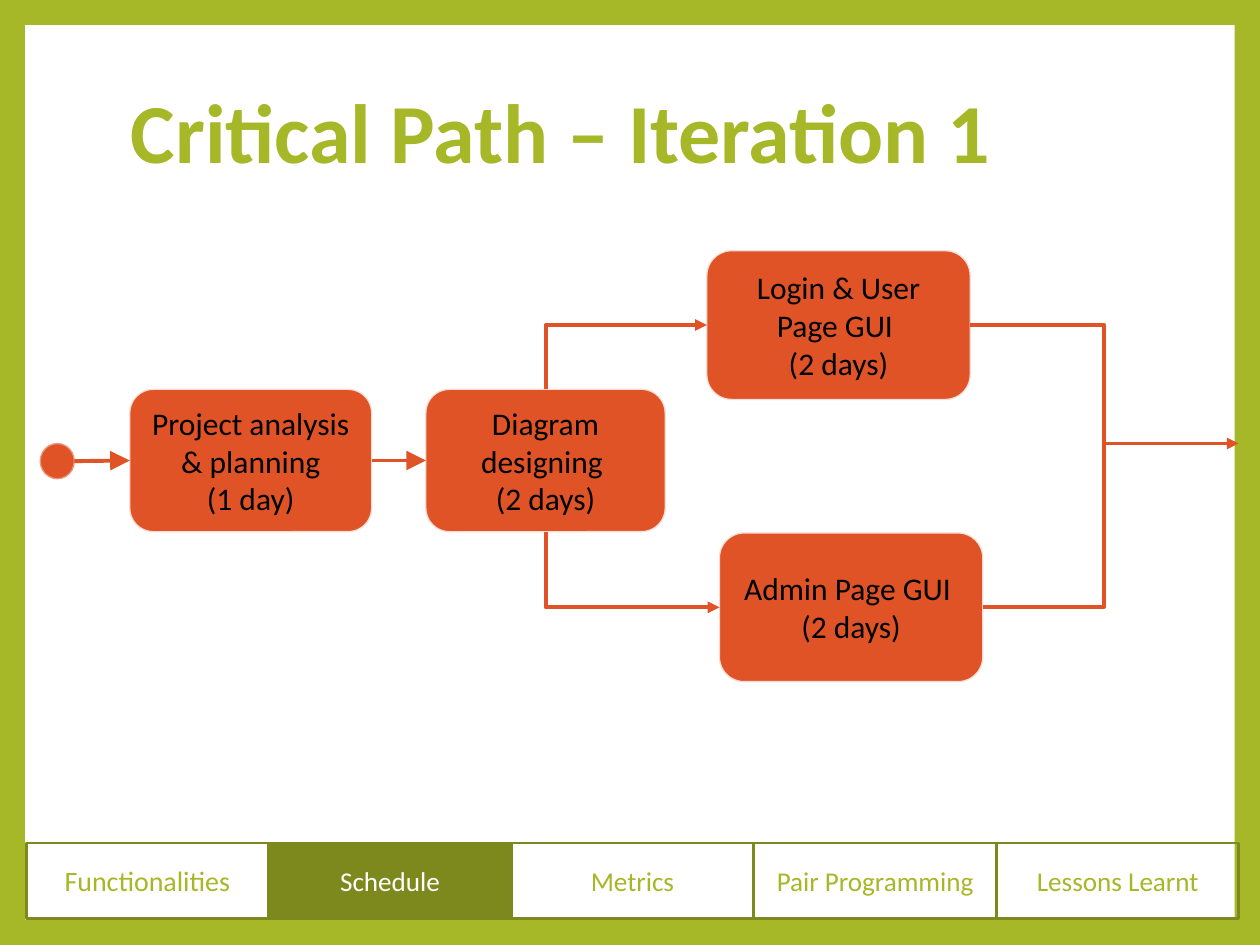
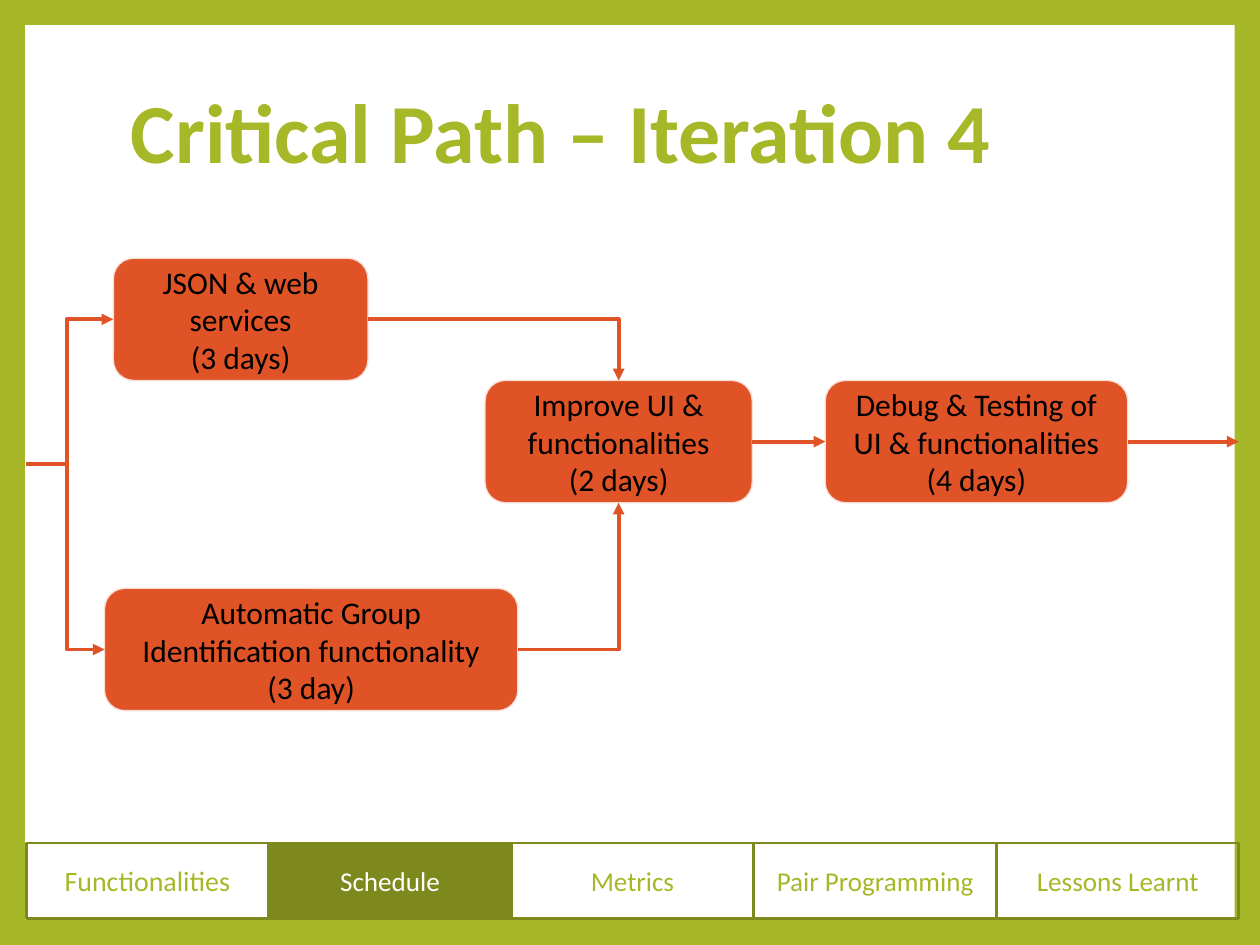
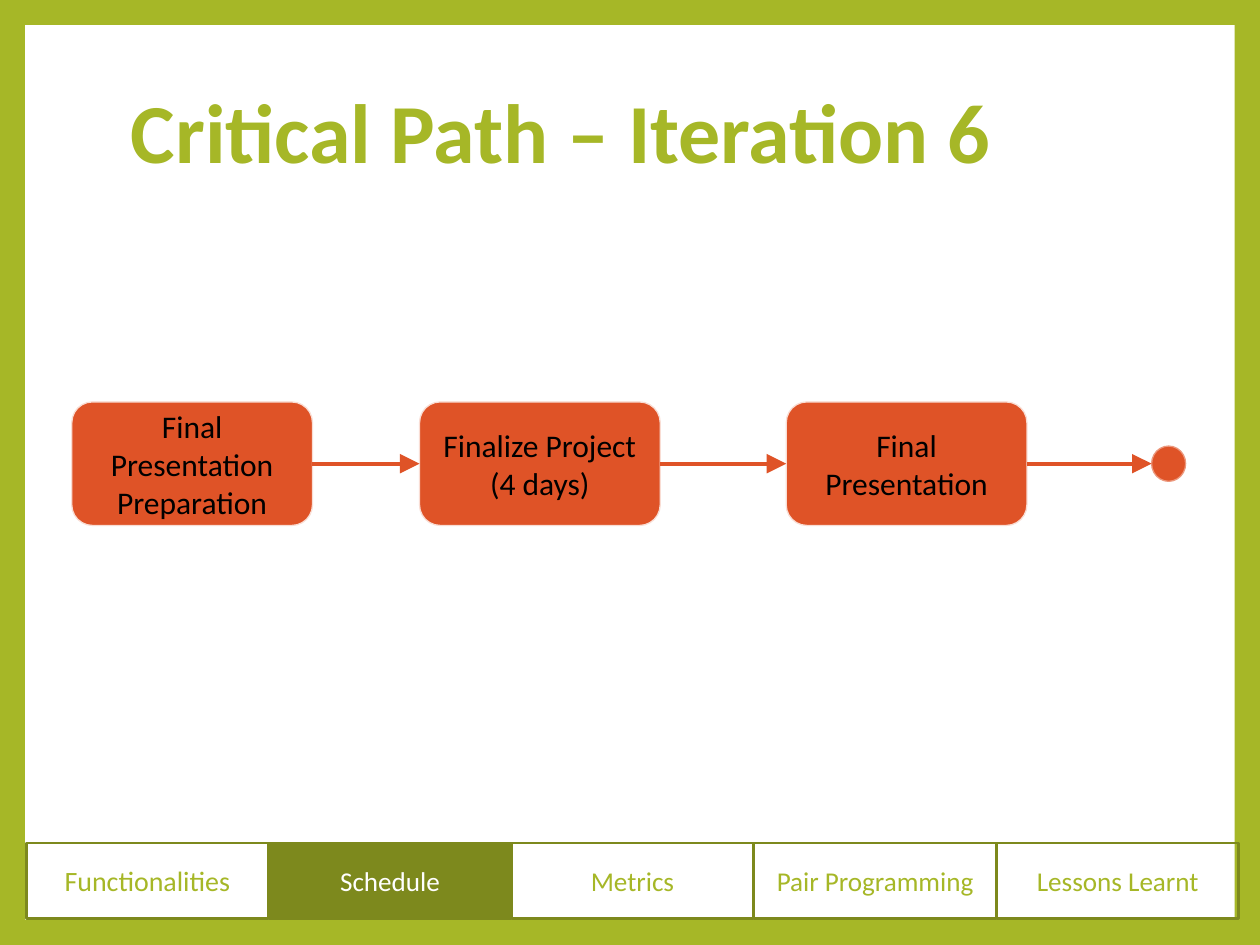
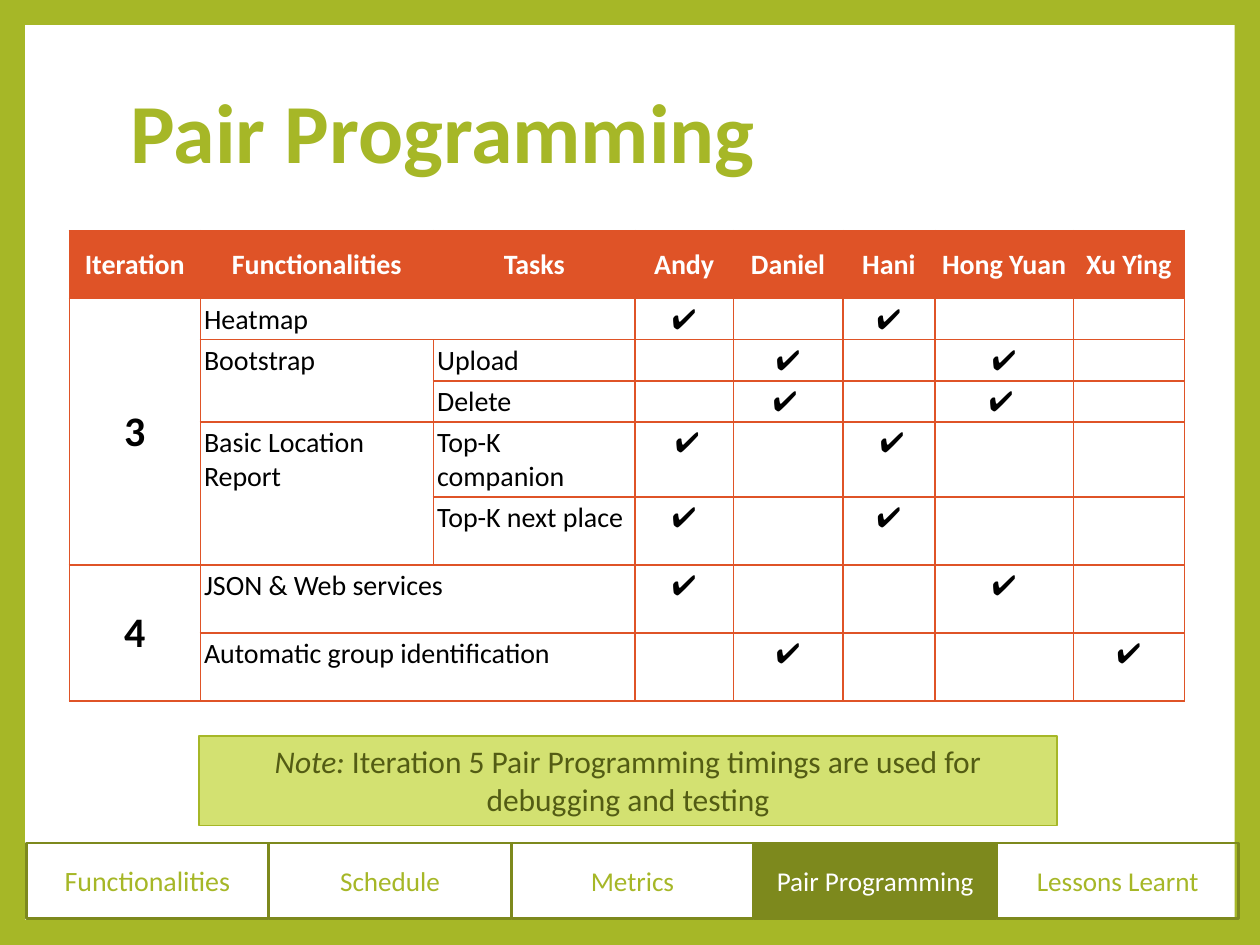
from dataclasses import dataclass
from enum import Enum
from typing import Optional, Union

from lxml import etree
from pptx import Presentation
from pptx.dml.color import RGBColor
from pptx.enum.shapes import MSO_CONNECTOR, MSO_SHAPE
from pptx.enum.text import MSO_ANCHOR, PP_ALIGN
from pptx.oxml.ns import qn
from pptx.util import Emu, Inches, Pt

# The slide is a grid of 100 columns by 75 rows of square cells.
COLUMNS, ROWS = 100, 75
CELL = Inches(10) // COLUMNS

FONT = "Calibri"
GREEN, OLIVE, DARK_OLIVE, PALE_GREEN = "A6B727", "7D891D", "535C14", "D3E171"
ORANGE, PALE_ORANGE, MID_ORANGE = "DF5327", "F9DDD4", "EC987D"
WHITE, BLACK = "FFFFFF", "000000"

TABS = ("Functionalities", "Schedule", "Metrics", "Pair Programming", "Lessons Learnt")
SITES = {"top": (0, 0.5, 0), "left": (1, 0, 0.5), "bottom": (2, 0.5, 1), "right": (3, 1, 0.5)}


class Bend(Enum):
    """How a link travels from its start to its end."""
    STRAIGHT = "line"
    ACROSS_FIRST = "bentConnector2"
    UPRIGHT_FIRST = "bentConnector2 turned"
    MIDWAY = "bentConnector3"


@dataclass(frozen=True)
class Box:
    """A rectangle in grid cells."""
    col: float
    row: float
    width: float
    height: float

    def emu(self) -> tuple[Emu, ...]:
        """Left, top, width and height as lengths."""
        return tuple(cells(v) for v in (self.col, self.row, self.width, self.height))


@dataclass(frozen=True)
class Task:
    """A rounded step of the critical path."""
    key: str
    box: Box
    text: str


End = Union[tuple[str, str], tuple[float, float]]  # (task, side) or (column, row)


@dataclass(frozen=True)
class Link:
    """A line between two ends; arrow is the head size, or None."""
    start: End
    end: End
    bend: Bend = Bend.STRAIGHT
    arrow: Optional[str] = "med"


@dataclass(frozen=True)
class Path:
    """One critical path slide."""
    title: str
    tasks: tuple[Task, ...]
    links: tuple[Link, ...]
    dot: Optional[Box] = None


def cells(count: float) -> Emu:
    """Grid cells as a length."""
    return Emu(round(count * CELL))


def color(value: str) -> RGBColor:
    """Hex string to colour."""
    return RGBColor.from_string(value)


def style_font(font, size: float, hex_color: str, bold: bool = False, italic: bool = False) -> None:
    """Set the shared typeface with the given size and colour."""
    font.name, font.size, font.bold, font.italic = FONT, Pt(size), bold, italic
    font.color.rgb = color(hex_color)


def write(frame, text: str, size: float, hex_color: str, bold: bool = False,
          align: PP_ALIGN = PP_ALIGN.CENTER) -> None:
    """Fill a text frame, one paragraph a line."""
    frame.text = text
    for paragraph in frame.paragraphs:
        paragraph.alignment = align
        for run in paragraph.runs:
            style_font(run.font, size, hex_color, bold)


def add_box(shapes, kind: MSO_SHAPE, box: Box, fill: Optional[str],
            line: Optional[str] = None, weight: float = 0.75):
    """Add a flat preset shape."""
    shape = shapes.add_shape(kind, *box.emu())
    shape.shadow.inherit = False
    if fill:
        shape.fill.solid()
        shape.fill.fore_color.rgb = color(fill)
    else:
        shape.fill.background()
    if line:
        shape.line.color.rgb = color(line)
        shape.line.width = Pt(weight)
    else:
        shape.line.fill.background()
    shape.text_frame.word_wrap = True
    return shape


def add_tabs(slide, active: str) -> None:
    """Draw the navigation tabs, the active one filled."""
    group = slide.shapes.add_group_shape()
    for i, name in enumerate(TABS):
        on = name == active
        tab = add_box(group.shapes, MSO_SHAPE.RECTANGLE, Box(2.1 + 19.25 * i, 66.9, 19.2, 6),
                      OLIVE if on else None, OLIVE, 1.5)
        write(tab.text_frame, name, 15.5 if i else 16, WHITE if on else GREEN)


def start_slide(prs, title: str, active: str):
    """Add a slide with its frame, title and tabs."""
    slide = prs.slides.add_slide(prs.slide_layouts[6])
    slide.background.fill.solid()
    slide.background.fill.fore_color.rgb = color(GREEN)
    add_box(slide.shapes, MSO_SHAPE.RECTANGLE, Box(2, 2, COLUMNS - 4, ROWS - 4), WHITE)
    frame = slide.shapes.add_textbox(*Box(9.4, 6.7, 81, 14.8).emu()).text_frame
    frame.word_wrap = True
    write(frame, title, 48, GREEN, True, PP_ALIGN.LEFT)
    frame.paragraphs[0].line_spacing = 0.9
    add_tabs(slide, active)
    return slide


def add_task(slide, task: Task):
    """Draw one step of the path."""
    shape = add_box(slide.shapes, MSO_SHAPE.ROUNDED_RECTANGLE, task.box, ORANGE, PALE_ORANGE)
    frame = shape.text_frame
    frame.margin_left = frame.margin_right = frame.margin_top = frame.margin_bottom = cells(0.7)
    write(frame, task.text, 18, BLACK)
    return shape


def locate(end: End, drawn: dict) -> tuple[int, int]:
    """Position of a link's end."""
    if isinstance(end[0], str):
        shape = drawn[end[0]]
        _, across, down = SITES[end[1]]
        return round(shape.left + across * shape.width), round(shape.top + down * shape.height)
    return cells(end[0]), cells(end[1])


def add_link(slide, link: Link, drawn: dict) -> None:
    """Draw a link, attached to the tasks it names."""
    (x1, y1), (x2, y2) = locate(link.start, drawn), locate(link.end, drawn)
    straight = link.bend is Bend.STRAIGHT
    kind = MSO_CONNECTOR.STRAIGHT if straight else MSO_CONNECTOR.ELBOW
    line = slide.shapes.add_connector(kind, x1, y1, x2, y2)
    for end, attach in ((link.start, line.begin_connect), (link.end, line.end_connect)):
        if isinstance(end[0], str):
            attach(drawn[end[0]], SITES[end[1]][0])
    properties = line._element.spPr
    properties.find(qn("a:prstGeom")).set("prst", link.bend.value.split()[0])
    if link.bend is Bend.UPRIGHT_FIRST:
        # A quarter turn about the centre swaps width and height.
        width, height = abs(y2 - y1), abs(x2 - x1)
        line.left, line.top = (x1 + x2 - width) // 2, (y1 + y2 - height) // 2
        line.width, line.height = width, height
        frame = properties.find(qn("a:xfrm"))
        frame.set("rot", str((270 if y2 > y1 else 90) * 60000))
        frame.set("flipH", "1")
        frame.set("flipV", "0" if y2 > y1 else "1")
    line.line.color.rgb = color(ORANGE)
    line.line.width = Pt(2.25)
    if link.arrow:
        etree.SubElement(properties.find(qn("a:ln")), qn("a:tailEnd"),
                         type="triangle", w=link.arrow, len=link.arrow)
    etree.SubElement(properties, qn("a:effectLst"))


def add_path(prs, path: Path) -> None:
    """Build a critical path slide."""
    slide = start_slide(prs, path.title, "Schedule")
    drawn = {task.key: add_task(slide, task) for task in path.tasks}
    if path.dot:
        add_box(slide.shapes, MSO_SHAPE.FLOWCHART_CONNECTOR, path.dot, ORANGE, MID_ORANGE)
    for link in path.links:
        add_link(slide, link, drawn)


def add_borders(cell, hex_color: str) -> None:
    """Give a cell a thin line on all four sides."""
    properties = cell._tc.get_or_add_tcPr()
    for i, side in enumerate(("lnL", "lnR", "lnT", "lnB")):
        line = etree.Element(qn(f"a:{side}"), w=str(Pt(1)))
        fill = etree.SubElement(line, qn("a:solidFill"))
        etree.SubElement(fill, qn("a:srgbClr"), val=hex_color)
        properties.insert(i, line)


def fill_cell(cell, text: str, row: int, col: int) -> None:
    """Write and style one cell by its place in the table."""
    header, iteration = row == 0, col == 0
    cell.margin_left = cell.margin_right = cell.margin_top = cell.margin_bottom = cells(0.3)
    cell.vertical_anchor = MSO_ANCHOR.MIDDLE if header or iteration else MSO_ANCHOR.TOP
    if header:
        cell.fill.solid()
        cell.fill.fore_color.rgb = color(ORANGE)
    else:
        cell.fill.background()
    add_borders(cell, ORANGE)
    if text:
        write(cell.text_frame, text, 24 if iteration and not header else 16,
              WHITE if header else BLACK, header or iteration,
              PP_ALIGN.LEFT if col in (1, 2) and not header else PP_ALIGN.CENTER)
    else:
        etree.SubElement(cell.text_frame.paragraphs[0]._p, qn("a:endParaRPr"), sz="1600")


CHECK, PAD = "\u2714", "\u00a0"
PAIRS = (
    ("Iteration", "Functionalities", "Tasks", "Andy", "Daniel", "Hani", "Hong Yuan", "Xu Ying"),
    ("3", "Heatmap" + PAD, "", CHECK, "", CHECK, "", ""),
    ("", "Bootstrap", "Upload", "", CHECK, "", CHECK, ""),
    ("", "", "Delete", "", CHECK + PAD, "", CHECK + PAD, ""),
    ("", "Basic Location Report", "Top-K companion", PAD + CHECK, "", PAD + CHECK, "", ""),
    ("", "", "Top-K next place", CHECK, "", CHECK, "", ""),
    ("4", "JSON & Web services" + PAD, "", CHECK, "", "", CHECK, ""),
    ("", "Automatic group identification", "", "", CHECK, "", "", CHECK),
)
PAIR_COLUMNS = (10.4, 18.5, 16, 7.8, 8.7, 7.3, 11, 8.8)
PAIR_ROWS = (5.4, 3, 3, 3, 5.4, 5.4, 5.4, 5.4)
# First and last cell of each merged area, as (row, column).
MERGES = (((1, 0), (5, 0)), ((6, 0), (7, 0)), ((2, 1), (3, 1)), ((4, 1), (5, 1)),
          ((1, 1), (1, 2)), ((6, 1), (6, 2)), ((7, 1), (7, 2)))


def add_pairs(prs) -> None:
    """Build the pair programming slide."""
    slide = start_slide(prs, "Pair Programming", "Pair Programming")
    area = Box(5.5, 18.3, sum(PAIR_COLUMNS), sum(PAIR_ROWS))
    table = slide.shapes.add_table(len(PAIR_ROWS), len(PAIR_COLUMNS), *area.emu()).table
    table.first_row = table.horz_banding = False
    for column, width in zip(table.columns, PAIR_COLUMNS):
        column.width = cells(width)
    for row, height in zip(table.rows, PAIR_ROWS):
        row.height = cells(height)
    for r, texts in enumerate(PAIRS):
        for c, text in enumerate(texts):
            fill_cell(table.cell(r, c), text, r, c)
    for first, last in MERGES:
        table.cell(*first).merge(table.cell(*last))

    note = add_box(slide.shapes, MSO_SHAPE.RECTANGLE, Box(15.8, 58.4, 68.1, 7.1), PALE_GREEN, GREEN)
    note.text_frame.vertical_anchor = MSO_ANCHOR.TOP
    paragraph = note.text_frame.paragraphs[0]
    paragraph.alignment = PP_ALIGN.CENTER
    for text, italic in (("Note:", True),
                         (" Iteration 5 Pair Programming timings are used for debugging and testing", False)):
        run = paragraph.add_run()
        run.text = text
        style_font(run.font, 18, DARK_OLIVE, italic=italic)


PATHS = (
    Path("Critical Path – Iteration 1", (
        Task("diagram", Box(33.8, 30.9, 19, 11.3), "Diagram designing \v(2 days)"),
        Task("plan", Box(10.3, 30.9, 19.2, 11.3), "Project analysis & planning\n(1 day)"),
        Task("login", Box(56.1, 19.9, 20.9, 11.8), "Login & User Page GUI \n(2 days)"),
        Task("admin", Box(57.1, 42.3, 20.9, 11.8), "Admin Page GUI \n(2 days)"),
    ), (
        Link(("plan", "right"), ("diagram", "left"), arrow="lg"),
        Link((5.9, 36.6), ("plan", "left"), arrow="lg"),
        Link(("diagram", "top"), ("login", "left"), Bend.UPRIGHT_FIRST),
        Link(("diagram", "bottom"), ("admin", "left"), Bend.UPRIGHT_FIRST),
        Link(("login", "right"), (98.3, 35.2), Bend.MIDWAY),
        Link(("admin", "right"), (87.6, 35.2), Bend.ACROSS_FIRST, None),
    ), Box(3.2, 35.2, 2.7, 2.8)),
    Path("Critical Path – Iteration 4", (
        Task("json", Box(9, 20.5, 20.2, 9.7), "JSON & web services\n(3 days)"),
        Task("improve", Box(38.5, 30.2, 21.2, 9.7), "Improve UI & functionalities\n(2 days)"),
        Task("group", Box(8.3, 46.7, 32.8, 9.7), "Automatic Group Identification functionality\n(3 day)"),
        Task("debug", Box(65.5, 30.2, 24, 9.7), "Debug & Testing of UI & functionalities\n(4 days)"),
    ), (
        Link((5.3, 33.6), ("json", "left"), Bend.UPRIGHT_FIRST),
        Link((5.3, 32), ("group", "left"), Bend.UPRIGHT_FIRST),
        Link((2.1, 36.8), (5.3, 36.8), arrow=None),
        Link(("group", "right"), ("improve", "bottom"), Bend.ACROSS_FIRST),
        Link(("json", "right"), ("improve", "top"), Bend.ACROSS_FIRST),
        Link(("improve", "right"), ("debug", "left")),
        Link(("debug", "right"), (98.3, 35.05)),
    )),
    Path("Critical Path – Iteration 6", (
        Task("prepare", Box(5.7, 31.9, 19.1, 9.8), "Final Presentation Preparation"),
        Task("finalize", Box(33.3, 31.9, 19.1, 9.8), "Finalize Project\n(4 days)"),
        Task("present", Box(62.4, 31.9, 19.1, 9.8), "Final Presentation"),
    ), (
        Link(("prepare", "right"), ("finalize", "left"), arrow="lg"),
        Link(("finalize", "right"), ("present", "left"), arrow="lg"),
        Link(("present", "right"), (91.4, 36.8), arrow="lg"),
    ), Box(91.4, 35.4, 2.7, 2.8)),
)


def main() -> None:
    """Build and save the deck."""
    prs = Presentation()
    prs.slide_width, prs.slide_height = cells(COLUMNS), cells(ROWS)
    for path in PATHS:
        add_path(prs, path)
    add_pairs(prs)
    prs.save("out.pptx")


main()
